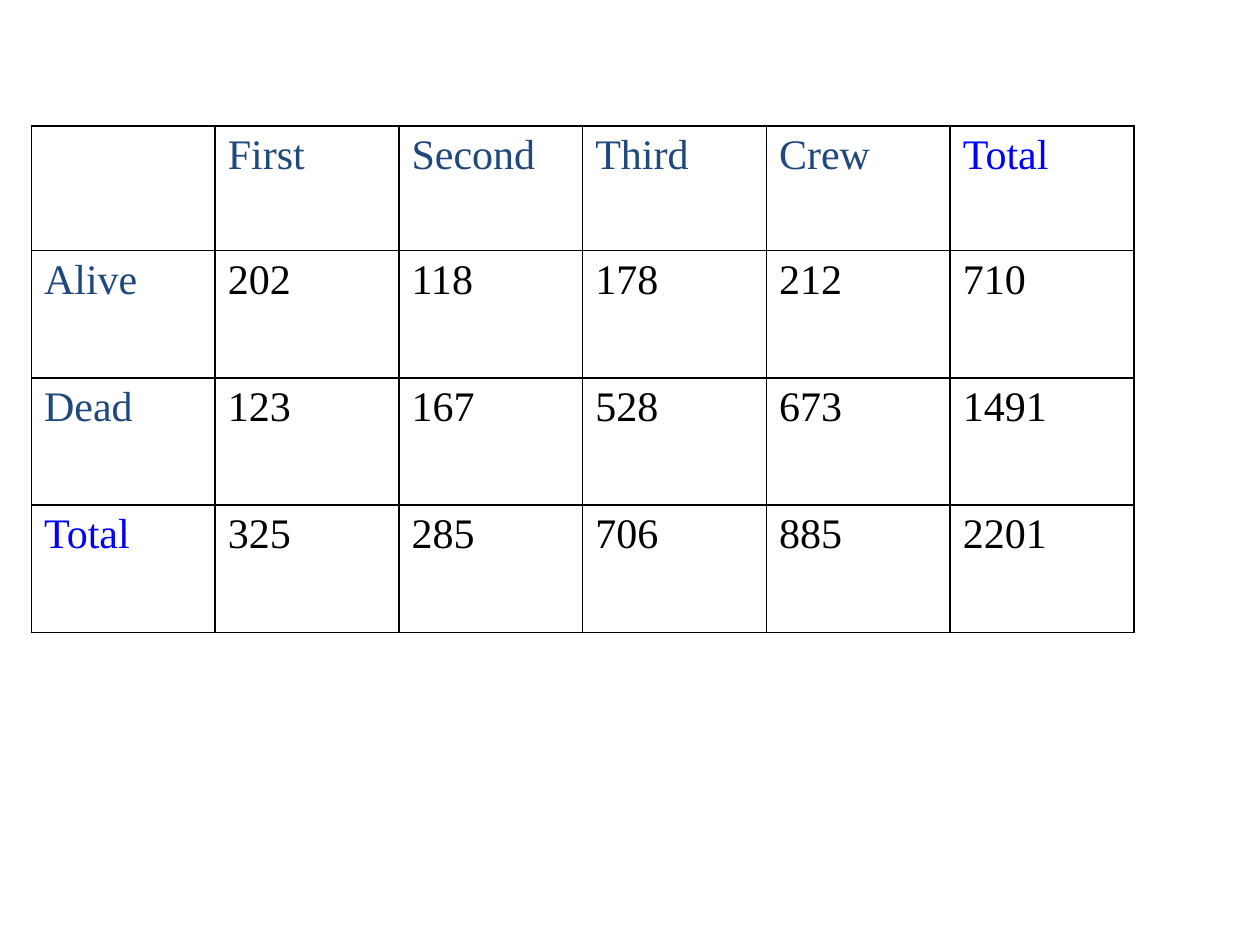
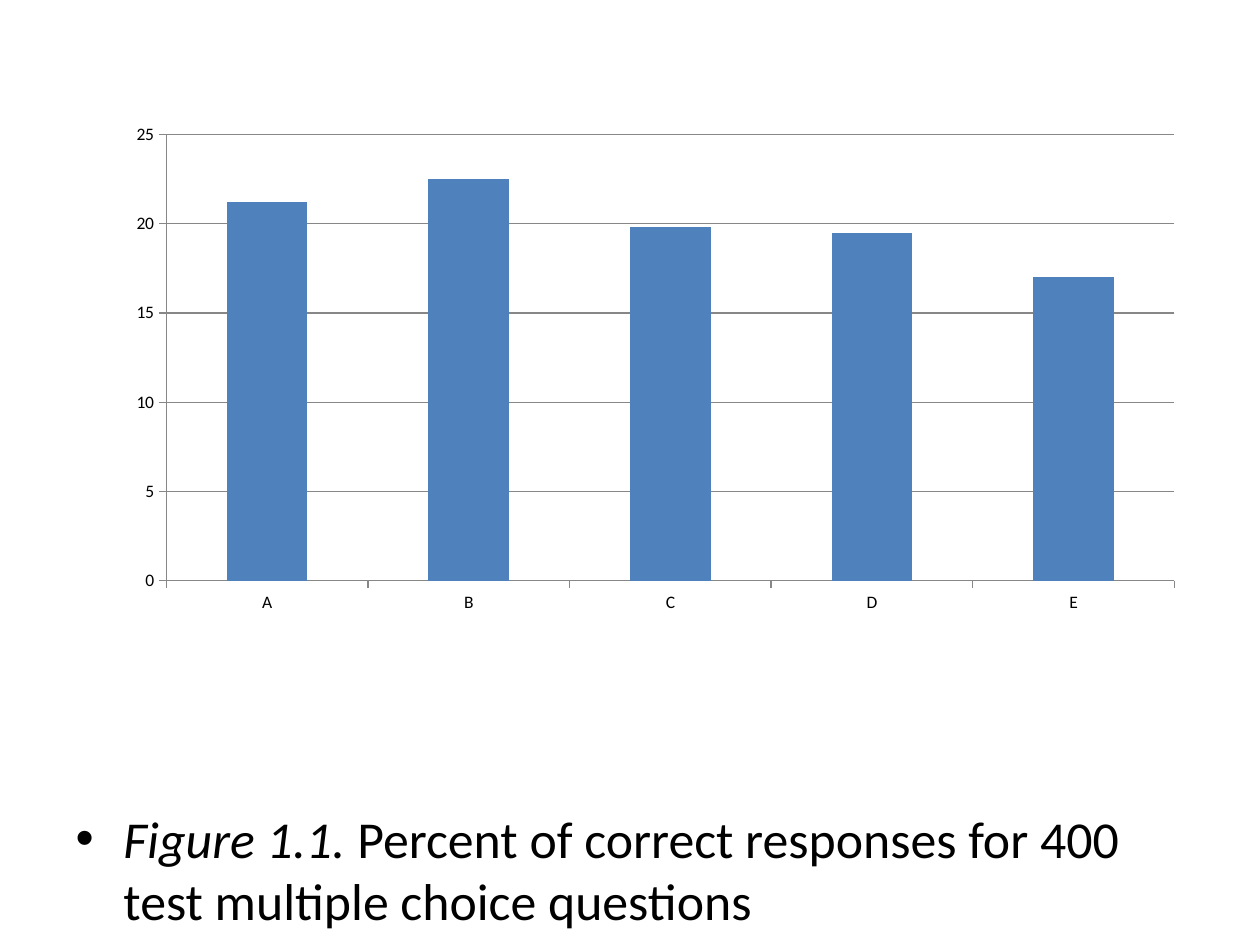
from pptx import Presentation
from pptx import util as u
from pptx.chart.data import CategoryChartData
from pptx.dml.color import RGBColor
from pptx.enum import chart as ch, text
from pptx.oxml import parse_xml
from pptx.oxml.ns import nsdecls

# Content
ROWS = [
    ["", "First", "Second", "Third", "Crew", "Total"],
    ["Alive", "202", "118", "178", "212", "710"],
    ["Dead", "123", "167", "528", "673", "1491"],
    ["Total", "325", "285", "706", "885", "2201"],
]
SCORES = {"A": 21.2, "B": 22.5, "C": 19.8, "D": 19.5, "E": 17}
CAPTION = [
    ("Figure 1.1. ", True),
    ("Percent of correct responses for 400 test multiple choice questions", False),
]

# Shared style
BLACK = RGBColor(0, 0, 0)
NAVY = RGBColor(0x1F, 0x49, 0x7D)
BLUE = RGBColor(0, 0, 0xFF)
BAR = RGBColor(0x4F, 0x81, 0xBD)
GRAY = RGBColor(0x87, 0x87, 0x87)
SERIF, SANS = "Times New Roman", "Calibri"
HANG = u.Inches(0.38)


def place(left, top, width, height):
    return [u.Inches(n) for n in (left, top, width, height)]


def style(font, name, size, color, italic=None):
    font.name, font.size, font.italic = name, u.Pt(size), italic
    font.color.rgb = color


def indent(para):
    props = para._p.get_or_add_pPr()
    props.set("marL", str(HANG))
    props.set("indent", str(-HANG))


def frame(cell):
    """Give a cell no fill and a thin black line on each side."""
    cell.fill.background()
    props = cell._tc.get_or_add_tcPr()
    for pos, side in enumerate(("lnL", "lnR", "lnT", "lnB")):
        props.insert(pos, parse_xml(
            f'<a:{side} {nsdecls("a")} w="12700"><a:solidFill>'
            f'<a:srgbClr val="{BLACK}"/></a:solidFill></a:{side}>'))


def layout_xml(x, y, w, h):
    parts = "".join(f'<c:{k} val="{v}"/>' for k, v in
                    (("xMode", "edge"), ("yMode", "edge"),
                     ("x", x), ("y", y), ("w", w), ("h", h)))
    return parse_xml(f'<c:layout {nsdecls("c")}><c:manualLayout>'
                     f'<c:layoutTarget val="inner"/>{parts}'
                     '</c:manualLayout></c:layout>')


deck = Presentation()
deck.slide_width, deck.slide_height = u.Inches(10), u.Inches(7.5)

# Slide 1: survival table
slide = deck.slides.add_slide(deck.slide_layouts[6])
grid = slide.shapes.add_table(len(ROWS), len(ROWS[0]),
                              *place(0.25, 1, 8.75, 4.02)).table
grid.first_row = grid.horz_banding = False
for r, row in enumerate(ROWS):
    grid.rows[r].height = u.Inches(1.01 if r else 0.99)
    for c, word in enumerate(row):
        cell = grid.cell(r, c)
        frame(cell)
        para = cell.text_frame.paragraphs[0]
        para.text = word
        indent(para)
        head = BLUE if word == "Total" else NAVY
        for run in para.runs:
            style(run.font, SERIF, 24, BLACK if r and c else head)

# Slide 2: caption in the body placeholder
slide = deck.slides.add_slide(deck.slide_layouts[1])
title = slide.shapes.title._element
title.getparent().remove(title)
body = slide.placeholders[1]
body.left, body.top, body.width, body.height = place(0.5, 6.35, 9, 1.1)
body.text_frame.auto_size = text.MSO_AUTO_SIZE.NONE
para = body.text_frame.paragraphs[0]
para.space_before = u.Pt(0)
indent(para)
for words, slant in CAPTION:
    run = para.add_run()
    run.text = words
    style(run.font, SANS, 29.6, BLACK, slant)

# Slide 2: column chart
data = CategoryChartData()
data.categories = list(SCORES)
data.add_series("Series 1", list(SCORES.values()))
chart = slide.shapes.add_chart(ch.XL_CHART_TYPE.COLUMN_CLUSTERED,
                               *place(0.58, 0.75, 8.92, 4.25), data).chart
chart.has_legend = chart.has_title = False
style(chart.font, SANS, 10, BLACK)
plot = chart.plots[0]
plot.gap_width, plot.vary_by_categories = 150, False
fill = plot.series[0].format.fill
fill.solid()
fill.fore_color.rgb = BAR
rise = chart.value_axis
rise.minimum_scale, rise.maximum_scale, rise.major_unit = 0, 25, 5
rise.has_major_gridlines = True
for axis in (chart.category_axis, rise):
    axis.major_tick_mark = ch.XL_TICK_MARK.OUTSIDE
    axis.format.line.color.rgb = GRAY
rise.major_gridlines.format.line.color.rgb = GRAY
area = chart._chartSpace.chart.plotArea
for old in area.findall("{*}layout"):
    area.remove(old)
area.insert(0, layout_xml(0.083, 0.075, 0.897, 0.833))

deck.save("out.pptx")
